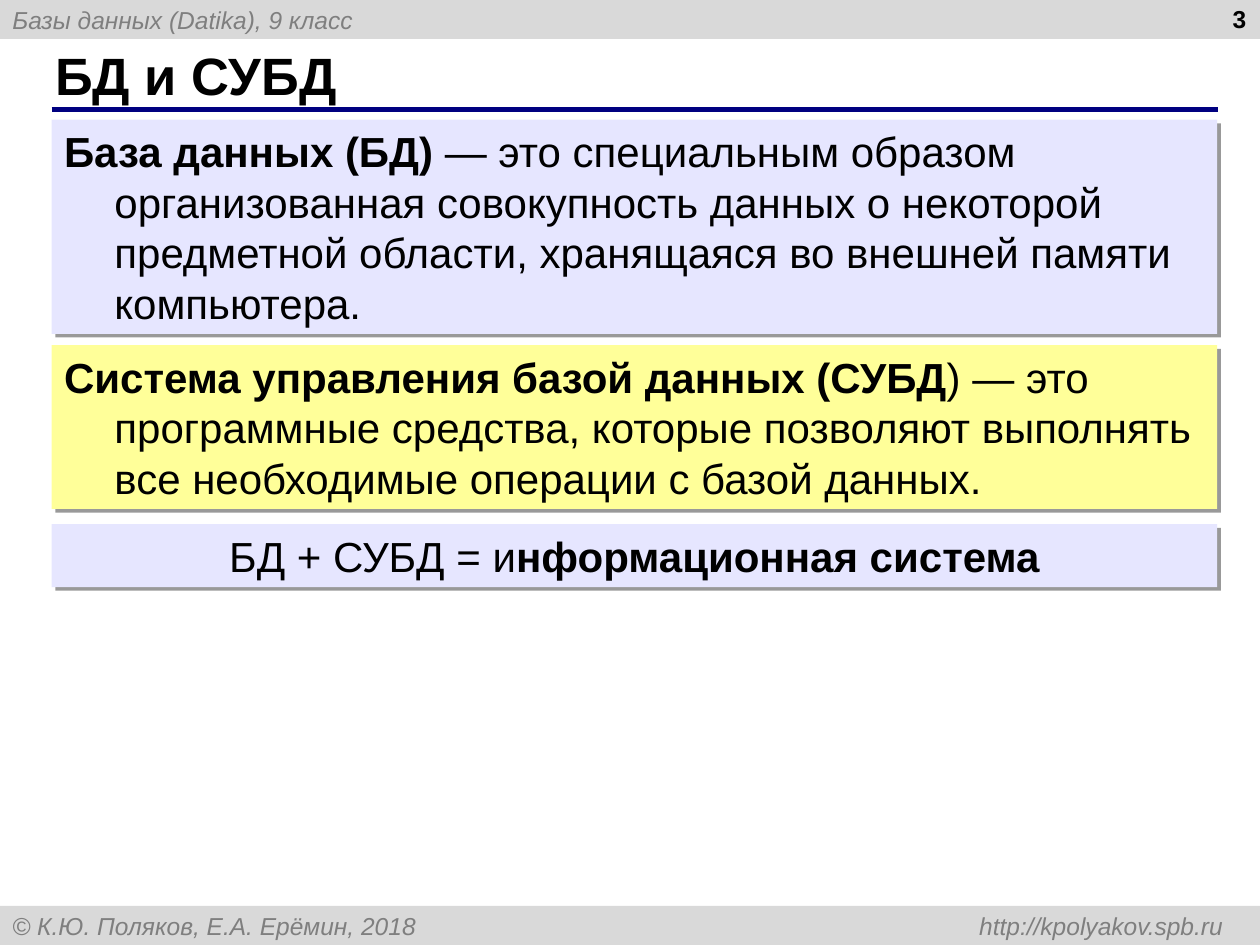
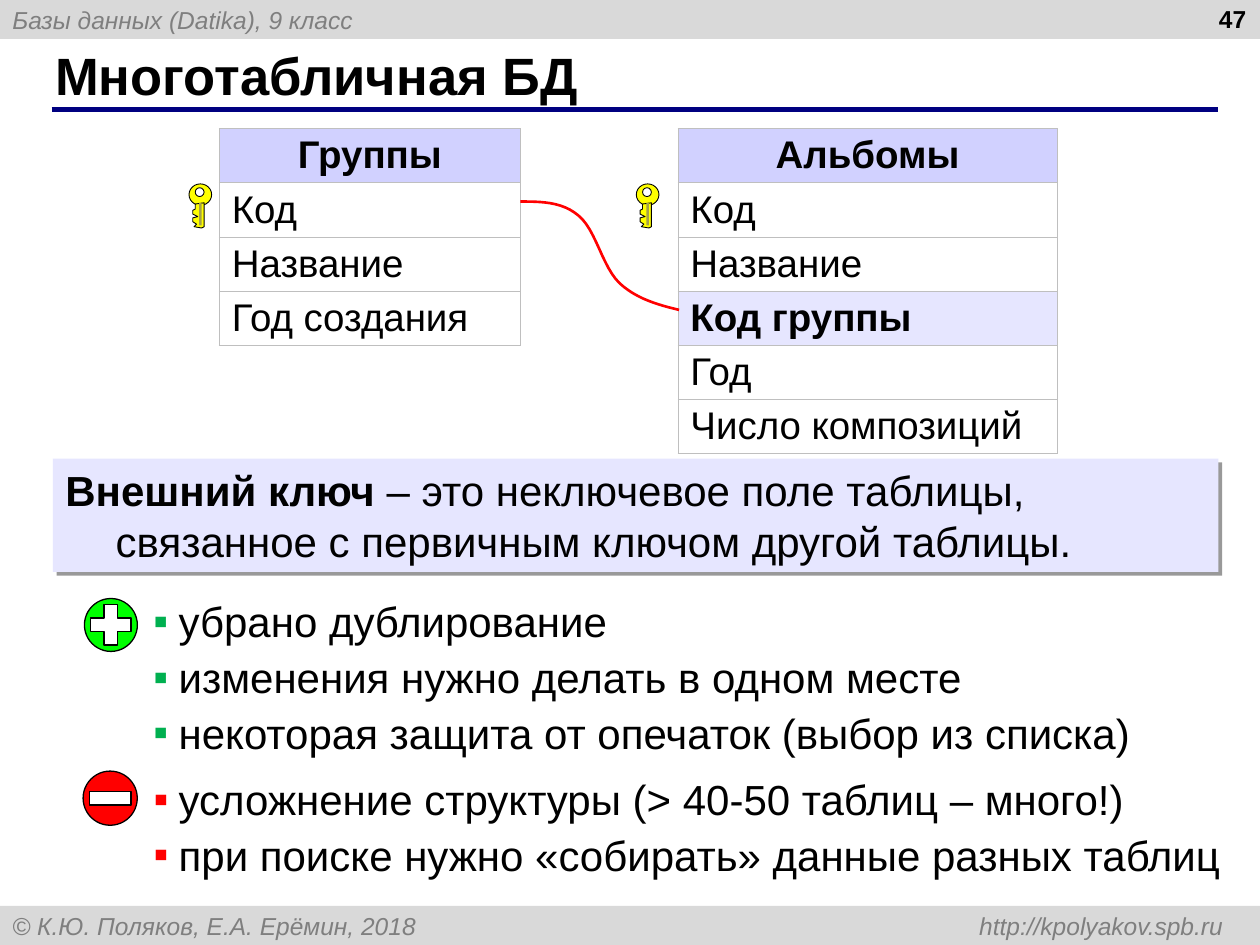
from lxml import etree
from pptx import Presentation
from pptx.dml.color import RGBColor
from pptx.enum.shapes import MSO_CONNECTOR, MSO_SHAPE
from pptx.enum.text import MSO_ANCHOR, PP_ALIGN
from pptx.oxml.ns import qn
from pptx.util import Inches, Pt

RECT, OVAL, CROSS = MSO_SHAPE.RECTANGLE, MSO_SHAPE.OVAL, MSO_SHAPE.CROSS
STRAIGHT = MSO_CONNECTOR.STRAIGHT
TOP, MIDDLE = MSO_ANCHOR.TOP, MSO_ANCHOR.MIDDLE
LEFT, CENTER, RIGHT = PP_ALIGN.LEFT, PP_ALIGN.CENTER, PP_ALIGN.RIGHT

FONT = "Arial"
BLACK, WHITE, GREY = "000000", "FFFFFF", "7F7F7F"
BAND, NAVY, BORDER = "D9D9D9", "000080", "BFBFBF"
LILAC, HEADING, NOTE = "E6E6FF", "D1D1FF", "FFFF99"
YELLOW, OLIVE, RED, LIME, GREEN = "FFFF00", "A5A149", "FF0000", "00FF00", "00B050"


def rgb(value):
    return RGBColor.from_string(value)


def child(parent, tag, **attributes):
    return etree.SubElement(parent, qn(tag), attributes)


def bezier(start, first, second, end, steps=12):
    for step in range(1, steps + 1):
        t = step / steps
        u = 1 - t
        yield tuple(u**3 * a + 3 * u * u * t * b + 3 * u * t * t * c + t**3 * d
                    for a, b, c, d in zip(start, first, second, end))


class Deck:
    def __init__(self):
        self.prs = Presentation()
        self.prs.slide_width, self.prs.slide_height = Inches(10), Inches(7.5)
        self.slide = None

    def add_slide(self, title, number):
        self.slide = self.prs.slides.add_slide(self.prs.slide_layouts[6])
        self.band(0, "Базы данных (Datika), 9 класс")
        footer = self.band(7.19, "© К.Ю. Поляков, Е.А. Ерёмин, 2018 \thttp://kpolyakov.spb.ru")
        tabs = child(footer._p.get_or_add_pPr(), "a:tabLst")
        child(tabs, "a:tab", pos=str(Inches(9.61)), algn="r")
        self.rule(0.41, 0.87, 9.67)
        self.label(0.34, 0.33, 9.16, 0.52, title, 30, anchor=MIDDLE)
        self.label(7.66, -0.02, 2.33, 0.52, number, 14, align=RIGHT)

    def paint(self, shape, fill=None, line=None, width=0.5):
        shape.shadow.inherit = False
        if fill:
            shape.fill.solid()
            shape.fill.fore_color.rgb = rgb(fill)
        else:
            shape.fill.background()
        if line:
            shape.line.color.rgb = rgb(line)
            shape.line.width = Pt(width)
        else:
            shape.line.fill.background()
        return shape

    def shape(self, kind, x, y, w, h, fill, line=None, width=0.5, group=None):
        shapes = (group or self.slide).shapes
        shape = shapes.add_shape(kind, Inches(x), Inches(y), Inches(w), Inches(h))
        return self.paint(shape, fill, line, width)

    def outline(self, points, fill=None, line=None, width=0.5, group=None):
        first, *rest = [(Inches(x), Inches(y)) for x, y in points]
        builder = (group or self.slide).shapes.build_freeform(*first)
        builder.add_line_segments(rest, close=bool(fill))
        return self.paint(builder.convert_to_shape(), fill, line, width)

    def style(self, paragraph, size, color=BLACK, bold=False, italic=False, align=LEFT):
        paragraph.alignment = align
        for run in paragraph.runs:
            font = run.font
            font.name, font.size, font.bold, font.italic = FONT, Pt(size), bold, italic
            font.color.rgb = rgb(color)

    def frame(self, shape, anchor=TOP):
        frame = shape.text_frame
        frame.word_wrap = True
        frame.vertical_anchor = anchor
        return frame

    def textbox(self, x, y, w, h, anchor=TOP):
        box = self.slide.shapes.add_textbox(Inches(x), Inches(y), Inches(w), Inches(h))
        return self.frame(box, anchor)

    def band(self, y, text):
        frame = self.frame(self.shape(RECT, 0, y, 10, 0.31, BAND), MIDDLE)
        paragraph = frame.paragraphs[0]
        paragraph.text = text
        self.style(paragraph, 14, GREY, italic=True)
        return paragraph

    def rule(self, x1, y, x2):
        line = self.slide.shapes.add_connector(STRAIGHT, Inches(x1), Inches(y), Inches(x2), Inches(y))
        line.line.color.rgb = rgb(NAVY)
        line.line.width = Pt(3)
        child(line._element.spPr, "a:effectLst")

    def label(self, x, y, w, h, text, size, align=LEFT, anchor=TOP):
        frame = self.textbox(x, y, w, h, anchor)
        frame.text = text
        self.style(frame.paragraphs[0], size, bold=True, align=align)

    def definition(self, x, y, h, parts, fill=LILAC, align=LEFT):
        panel = self.shape(RECT, x, y, 9.25, h, fill)
        effects = panel._element.spPr.find(qn("a:effectLst"))
        shadow = child(effects, "a:outerShdw", blurRad="0", dist=str(Pt(3)),
                       dir="2700000", algn="ctr", rotWithShape="0")
        child(child(shadow, "a:srgbClr", val=BLACK), "a:alpha", val="40000")
        paragraph = self.frame(panel).paragraphs[0]
        properties = paragraph._p.get_or_add_pPr()
        properties.set("marL", str(Inches(0.4)))
        properties.set("indent", str(Inches(-0.4)))
        for text, _ in parts:
            paragraph.add_run().text = text
        self.style(paragraph, 24, align=align)
        for run, (_, bold) in zip(paragraph.runs, parts):
            run.font.bold = bold

    def bullets(self, x, y, w, h, items, color):
        frame = self.textbox(x, y, w, h)
        frame.text = "\n".join(items)
        for index, paragraph in enumerate(frame.paragraphs):
            properties = paragraph._p.get_or_add_pPr()
            properties.set("marL", str(Inches(0.2)))
            properties.set("indent", str(Inches(-0.2)))
            child(child(properties, "a:buClr"), "a:srgbClr", val=color)
            child(properties, "a:buFont", typeface=FONT)
            child(properties, "a:buChar", char="▪")
            if index:
                paragraph.space_before = Pt(3)
            self.style(paragraph, 24)

    def entity(self, x, y, w, fields, foreign_key=None):
        row_height = 0.43
        table = self.slide.shapes.add_table(
            len(fields), 1, Inches(x), Inches(y), Inches(w), Inches(row_height * len(fields))).table
        table.first_row = table.horz_banding = False
        for index, field in enumerate(fields):
            table.rows[index].height = Inches(row_height)
            cell = table.cell(index, 0)
            cell.text = field
            cell.vertical_anchor = MIDDLE
            cell.margin_top = cell.margin_bottom = Inches(0.02)
            heading = index == 0
            self.style(cell.text_frame.paragraphs[0], 22,
                       bold=heading or field == foreign_key, align=CENTER if heading else LEFT)
            properties = cell._tc.get_or_add_tcPr()
            for side in ("a:lnL", "a:lnR", "a:lnT", "a:lnB"):
                border = child(properties, side, w=str(Pt(0.45)))
                child(child(border, "a:solidFill"), "a:srgbClr", val=BORDER)
            if heading or field == foreign_key:
                cell.fill.solid()
                cell.fill.fore_color.rgb = rgb(HEADING if heading else LILAC)
            else:
                cell.fill.background()

    def group(self):
        return self.slide.shapes.add_group_shape()

    def key(self, x, y):
        group = self.group()
        blade = [(0.12, 0.15), (0.12, 0.34), (0.1, 0.35), (0.04, 0.34), (0.06, 0.32),
                 (0.03, 0.3), (0.03, 0.27), (0.07, 0.26), (0.03, 0.24), (0.03, 0.21),
                 (0.05, 0.2), (0.05, 0.16)]
        self.shape(OVAL, x, y, 0.18, 0.17, YELLOW, BLACK, group=group)
        self.shape(OVAL, x + 0.05, y + 0.03, 0.07, 0.07, WHITE, BLACK, group=group)
        self.outline([(x + dx, y + dy) for dx, dy in blade], YELLOW, BLACK, group=group)
        self.shape(RECT, x + 0.08, y + 0.15, 0.02, 0.18, OLIVE, group=group)

    def plus(self, x, y):
        group = self.group()
        self.shape(OVAL, x, y, 0.42, 0.42, LIME, BLACK, 0.75, group)
        cross = self.shape(CROSS, x + 0.05, y + 0.05, 0.32, 0.32, WHITE, BLACK, 0.75, group)
        cross.adjustments[0] = 0.33

    def minus(self, x, y):
        group = self.group()
        self.shape(OVAL, x, y, 0.43, 0.43, RED, BLACK, 0.75, group)
        self.shape(RECT, x + 0.05, y + 0.16, 0.33, 0.11, WHITE, BLACK, 0.75, group)


def databases(deck):
    deck.add_slide("БД и СУБД", "3")
    deck.definition(0.41, 0.95, 1.7, [
        ("База данных (БД)", True),
        (" — это специальным образом организованная совокупность данных о некоторой "
         "предметной области, хранящаяся во внешней памяти компьютера.", False)])
    deck.definition(0.41, 2.74, 1.3, [
        ("Система управления базой данных (СУБД", True),
        (") — это программные средства, которые позволяют выполнять все необходимые "
         "операции с базой данных.", False)], NOTE)
    deck.definition(0.41, 4.16, 0.5, [
        ("БД + СУБД = и", False), ("нформационная система", True)], align=CENTER)


def linked_tables(deck):
    deck.add_slide("Многотабличная БД", "47")
    deck.entity(1.74, 1.02, 2.39, ["Группы", "Код", "Название", "Год создания"])
    deck.entity(5.38, 1.02, 3.01,
                ["Альбомы", "Код", "Название", "Код группы", "Год", "Число композиций"],
                foreign_key="Код группы")
    for key_x in (1.5, 5.05):
        deck.key(key_x, 1.46)

    relation = [(5.39, 2.46)]
    for curve in ([(5.22, 2.42), (5.05, 2.37), (4.92, 2.25)],
                  [(4.78, 2.12), (4.73, 1.82), (4.59, 1.71)],
                  [(4.46, 1.6), (4.29, 1.6), (4.13, 1.6)]):
        relation.extend(bezier(relation[-1], *curve))
    deck.outline(relation, line=RED, width=1.5)

    deck.definition(0.42, 3.64, 0.9, [
        ("Внешний ключ ", True),
        ("– это неключевое поле таблицы, связанное с первичным ключом другой таблицы.", False)])
    deck.plus(0.67, 4.75)
    deck.bullets(1.12, 4.68, 8.34, 1.34, [
        "убрано дублирование",
        "изменения нужно делать в одном месте",
        "некоторая защита от опечаток (выбор из списка)"], GREEN)
    deck.minus(0.66, 6.12)
    deck.bullets(1.12, 6.09, 8.88, 0.92, [
        "усложнение структуры (> 40-50 таблиц – много!)",
        "при поиске нужно «собирать» данные разных таблиц"], RED)


def main():
    deck = Deck()
    databases(deck)
    linked_tables(deck)
    deck.prs.save("out.pptx")


if __name__ == "__main__":
    main()
